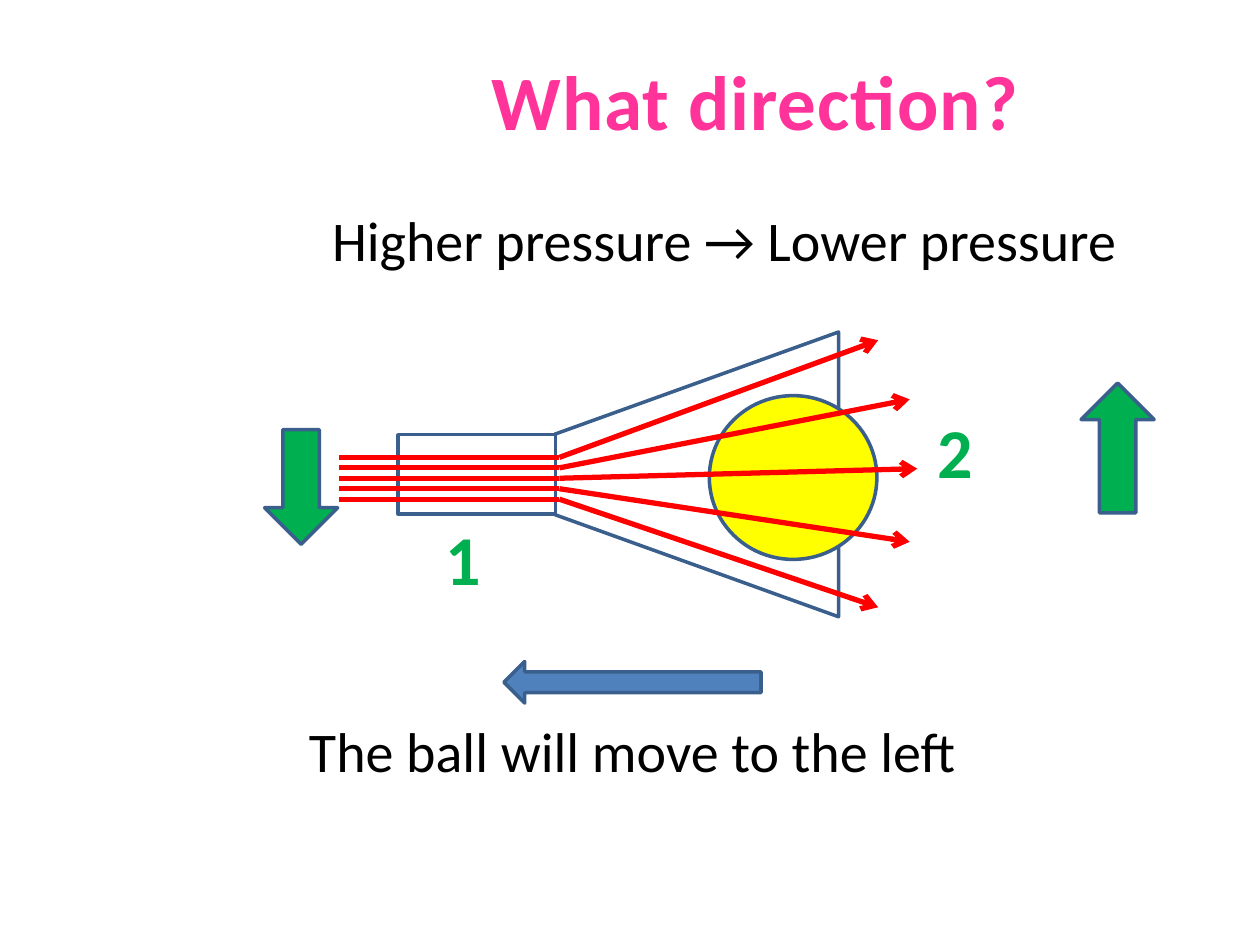
"""Build a slide showing which way pressure moves a ball in a funnel."""
import pptx
import pptx.util
import pptx.dml.color
import pptx.enum.shapes
import pptx.enum.text
import pptx.oxml.ns
import lxml.etree

Inches = pptx.util.Inches
Pt = pptx.util.Pt
RGBColor = pptx.dml.color.RGBColor
MSO_SHAPE = pptx.enum.shapes.MSO_SHAPE
PP_ALIGN = pptx.enum.text.PP_ALIGN
qn = pptx.oxml.ns.qn

WHITE = RGBColor(0xFF, 0xFF, 0xFF)
BLACK = RGBColor(0x00, 0x00, 0x00)
YELLOW = RGBColor(0xFF, 0xFF, 0x00)
RED = RGBColor(0xFF, 0x00, 0x00)
GREEN = RGBColor(0x00, 0xB0, 0x50)
BLUE = RGBColor(0x4F, 0x81, 0xBD)
OUTLINE = RGBColor(0x3A, 0x5F, 0x8C)
PINK = RGBColor(0xFF, 0x33, 0x99)


def add_run(tf, text, size, color, bold, align):
    p = tf.paragraphs[0]
    p.alignment = align
    r = p.add_run()
    r.text = text
    r.font.name = "Calibri"
    r.font.size = Pt(size)
    r.font.bold = bold
    r.font.color.rgb = color
    return r


def add_ray(x1, y1, x2, y2, arrow):
    line = slide.shapes.add_connector(
        pptx.enum.shapes.MSO_CONNECTOR.STRAIGHT,
        Inches(x1), Inches(y1), Inches(x2), Inches(y2))
    line.line.color.rgb = RED
    line.line.width = Pt(3)
    if arrow:
        ln = line.line._get_or_add_ln()
        lxml.etree.SubElement(ln, qn("a:tailEnd"), type="arrow")
    lxml.etree.SubElement(line._element.spPr, qn("a:effectLst"))


prs = pptx.Presentation()
prs.slide_width = Inches(10)
prs.slide_height = Inches(7.5)
slide = prs.slides.add_slide(prs.slide_layouts[5])

title = slide.shapes.title
title.left, title.top = Inches(2.33), Inches(0.17)
title.width, title.height = Inches(7.33), Inches(1.25)
title.text_frame.vertical_anchor = pptx.enum.text.MSO_ANCHOR.MIDDLE
r = add_run(title.text_frame, "What direction?", 44, PINK, True, PP_ALIGN.CENTER)
r.font._element.set("spc", "50")

shapes = [
    (MSO_SHAPE.TRAPEZOID, 4.4, 2.64, 2.26, 2.25, WHITE),
    (MSO_SHAPE.RECTANGLE, 3.16, 3.45, 1.25, 0.63, WHITE),
    (MSO_SHAPE.OVAL, 5.63, 3.14, 1.33, 1.3, YELLOW),
    (MSO_SHAPE.DOWN_ARROW, 2.1, 3.41, 0.58, 0.91, GREEN),
    (MSO_SHAPE.UP_ARROW, 8.58, 3.04, 0.58, 1.03, GREEN),
    (MSO_SHAPE.LEFT_ARROW, 4, 5.25, 2.04, 0.33, BLUE),
]
for kind, x, y, w, h, fill in shapes:
    sp = slide.shapes.add_shape(kind, Inches(x), Inches(y), Inches(w), Inches(h))
    sp.shadow.inherit = False
    sp.fill.solid()
    sp.fill.fore_color.rgb = fill
    sp.line.color.rgb = OUTLINE
    sp.line.width = Pt(2)
    if kind == MSO_SHAPE.TRAPEZOID:
        sp.rotation = 270
        sp.adjustments[0] = 0.36

ray_ends = [(6.97, 2.7), (7.22, 3.17), (7.28, 3.72), (7.22, 4.3), (6.97, 4.82)]
for i, (x, y) in enumerate(ray_ends):
    start = 3.63 + i * 0.083
    add_ray(2.69, start, 4.44, start, False)
    add_ray(4.44, start, x, y, True)

texts = [
    ("1", 3.44, 4.04, 0.7, 0.82, 40, GREEN, True, PP_ALIGN.LEFT),
    ("2", 7.34, 3.19, 0.7, 0.82, 40, GREEN, True, PP_ALIGN.LEFT),
    ("Higher pressure → Lower pressure", 2, 1.58, 7.5, 0.67, 32, BLACK, False, PP_ALIGN.CENTER),
    ("The ball will move to the left", 1.27, 5.64, 7.5, 0.67, 32, BLACK, False, PP_ALIGN.CENTER),
]
for text, x, y, w, h, size, color, bold, align in texts:
    sp = slide.shapes.add_textbox(Inches(x), Inches(y), Inches(w), Inches(h))
    tf = sp.text_frame
    tf.word_wrap = True
    add_run(tf, text, size, color, bold, align)

prs.save("out.pptx")
